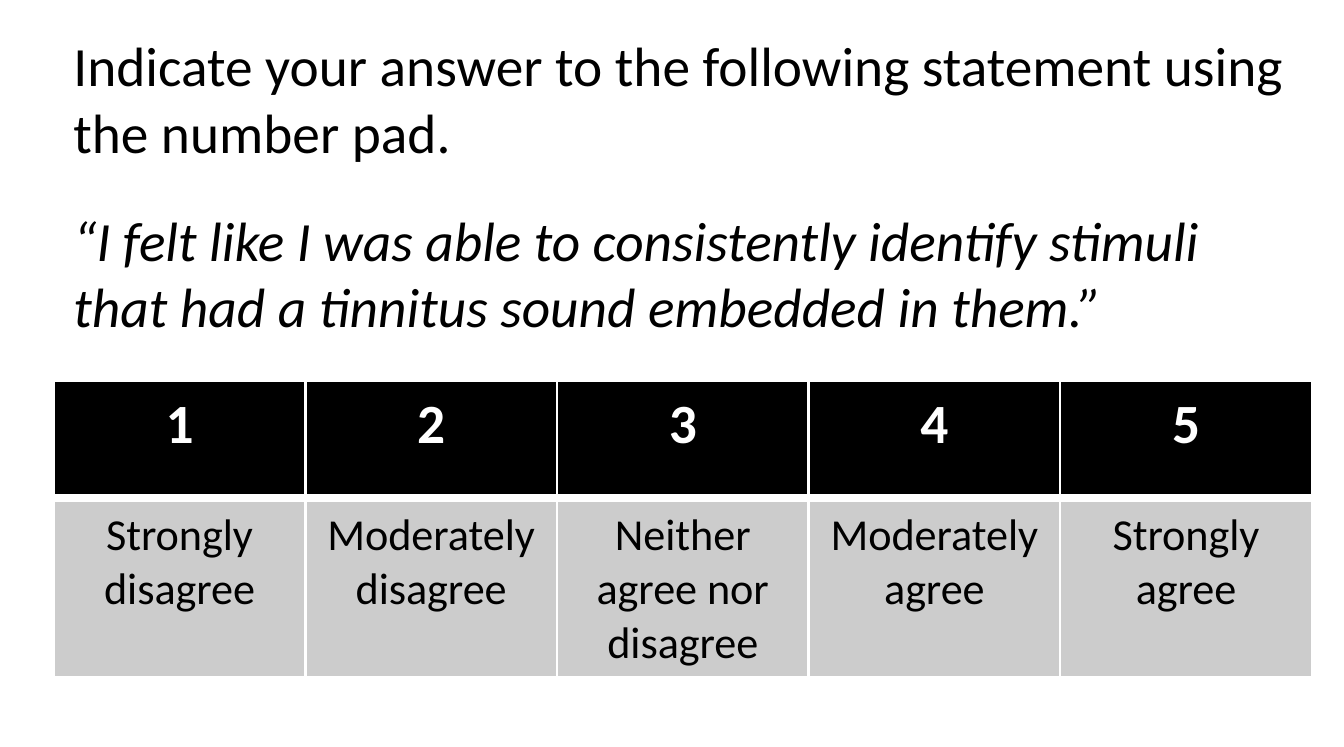
from pptx import Presentation
from pptx.dml.color import RGBColor
from pptx.enum.text import MSO_AUTO_SIZE, PP_ALIGN
from pptx.oxml.ns import qn
from pptx.util import Inches, Pt
from lxml.etree import SubElement

BLACK = RGBColor(0x00, 0x00, 0x00)
WHITE = RGBColor(0xFF, 0xFF, 0xFF)
GREY = RGBColor(0xCC, 0xCC, 0xCC)

INSTRUCTION = "Indicate your answer to the following statement using the number pad."
STATEMENT = (
    "“I felt like I was able to consistently identify stimuli "
    "that had a tinnitus sound embedded in them.”"
)
ANSWERS = [
    "Strongly disagree",
    "Moderately disagree",
    "Neither agree nor disagree",
    "Moderately agree",
    "Strongly agree",
]


class SurveySlide:
    font_name = "Calibri"
    large = Pt(20)
    small = Pt(16)
    thin = Pt(1)
    thick = Pt(3)

    def __init__(self, presentation):
        self.slide = presentation.slides.add_slide(presentation.slide_layouts[6])

    def style(self, paragraph, size, color, bold=False, italic=False):
        font = paragraph.font
        font.name = self.font_name
        font.size = size
        font.color.rgb = color
        font.bold = bold
        font.italic = italic

    def add_question(self, left, top, width, height):
        text_box = self.slide.shapes.add_textbox(left, top, width, height)
        frame = text_box.text_frame
        frame.word_wrap = True
        frame.auto_size = MSO_AUTO_SIZE.SHAPE_TO_FIT_TEXT
        instruction = frame.paragraphs[0]
        instruction.text = INSTRUCTION
        self.style(instruction, self.large, BLACK)
        statement = frame.add_paragraph()
        statement.text = STATEMENT
        statement.space_before = Pt(15)
        self.style(statement, self.large, BLACK, italic=True)

    def add_borders(self, cell, top, bottom):
        """Draw white borders; the sides are always thin."""
        properties = cell._tc.get_or_add_tcPr()
        widths = {"lnL": self.thin, "lnR": self.thin, "lnT": top, "lnB": bottom}
        for edge, width in widths.items():
            line = SubElement(properties, qn(f"a:{edge}"), w=str(width))
            fill = SubElement(line, qn("a:solidFill"))
            SubElement(fill, qn("a:srgbClr"), val=str(WHITE))

    def fill_cell(self, cell, text, size, color, background, top, bottom, bold=False):
        self.add_borders(cell, top, bottom)
        cell.fill.solid()
        cell.fill.fore_color.rgb = background
        paragraph = cell.text_frame.paragraphs[0]
        paragraph.text = text
        paragraph.alignment = PP_ALIGN.CENTER
        self.style(paragraph, size, color, bold=bold)

    def add_scale(self, left, top, width, row_heights):
        table = self.slide.shapes.add_table(
            len(row_heights), len(ANSWERS), left, top, width, sum(row_heights)
        ).table
        for row, height in zip(table.rows, row_heights):
            row.height = height
        for column, answer in enumerate(ANSWERS):
            self.fill_cell(table.cell(0, column), str(column + 1), self.large,
                           WHITE, BLACK, self.thin, self.thick, bold=True)
            self.fill_cell(table.cell(1, column), answer, self.small,
                           BLACK, GREY, self.thick, self.thin)


def main():
    presentation = Presentation()
    presentation.slide_width = Inches(6.75)
    presentation.slide_height = Inches(3.75)
    survey = SurveySlide(presentation)
    left, width = Inches(0.27), Inches(6.32)
    survey.add_question(left, Inches(0.11), width, Inches(1.66))
    survey.add_scale(left, Inches(1.91), width, [Inches(0.59), Inches(0.86)])
    presentation.save("out.pptx")


if __name__ == "__main__":
    main()
